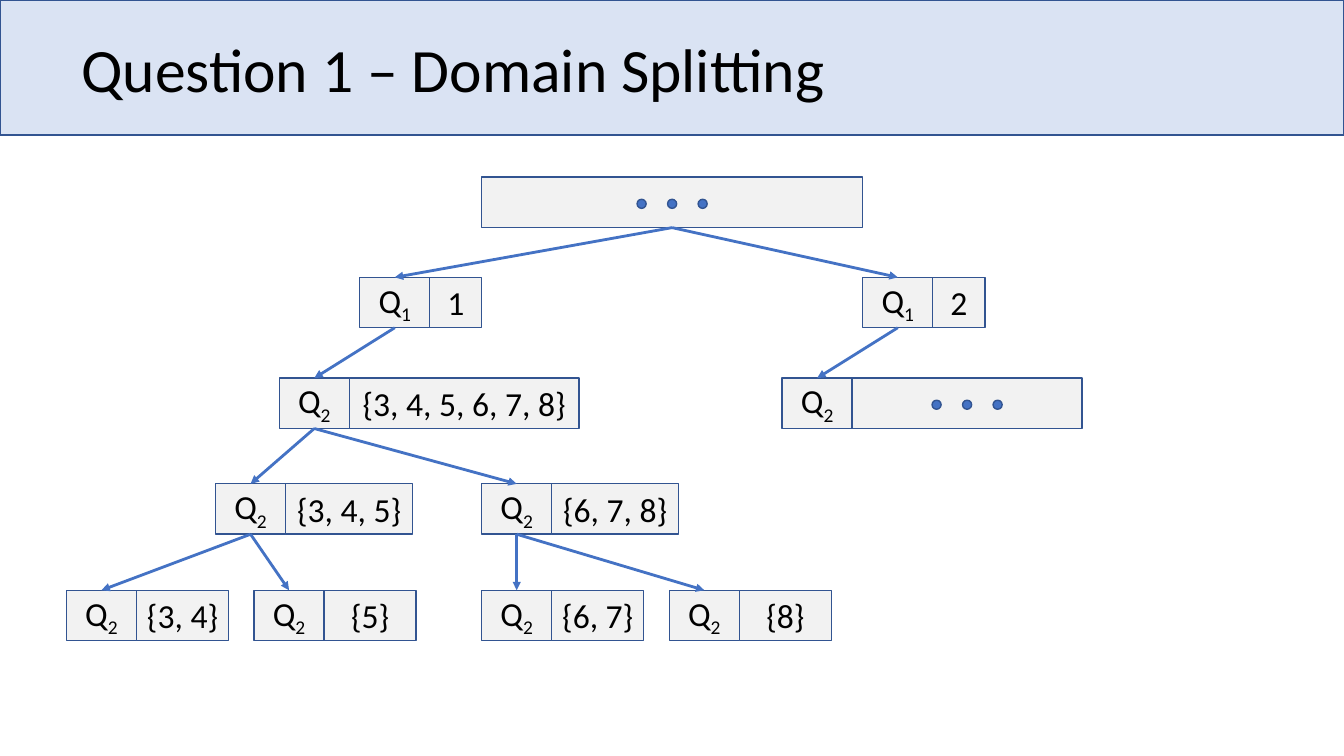
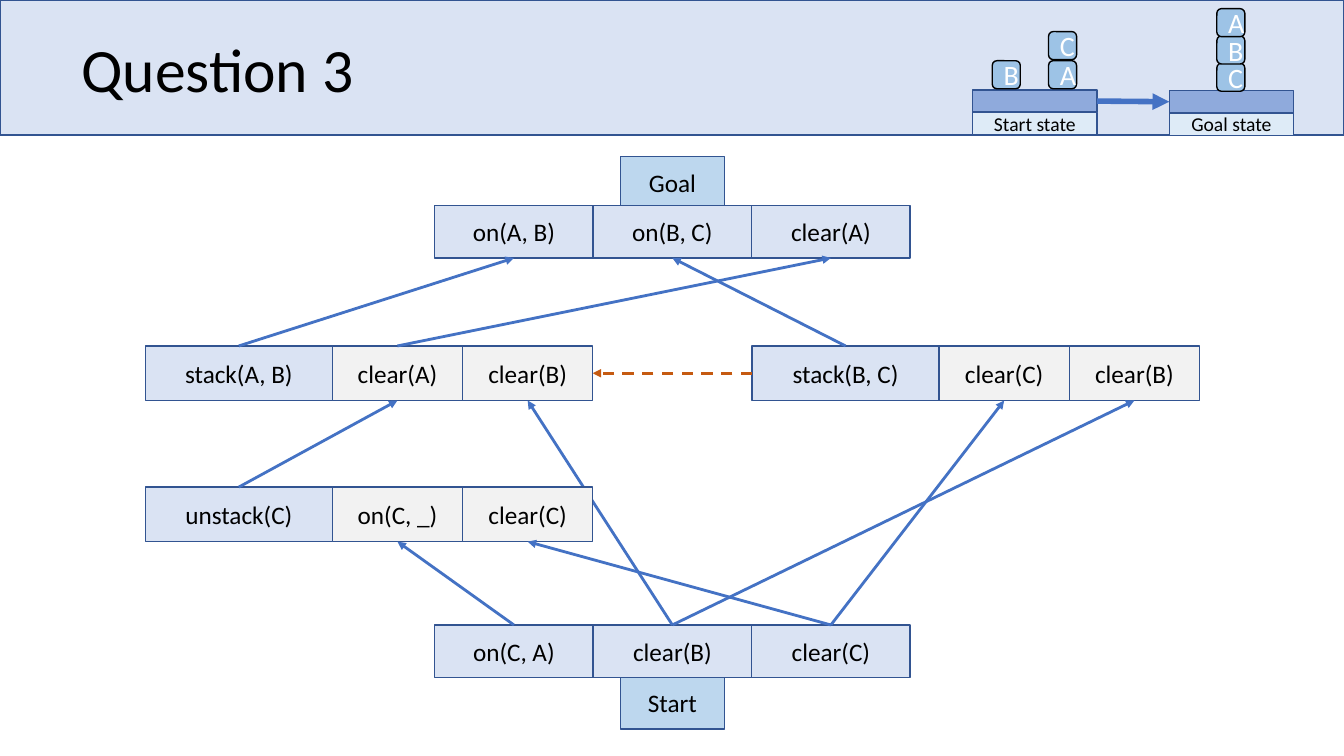
import pptx
import pptx.util
import pptx.dml.color
import pptx.enum.dml
import pptx.enum.shapes
import pptx.enum.text
import pptx.oxml.ns
import lxml.etree

Pt = pptx.util.Pt
SHAPES = pptx.enum.shapes.MSO_SHAPE
COLORS = {
    "band": "DAE3F3", "outline": "325491", "arrow": "4472C4", "order": "C55A11",
    "cell": "F2F2F2", "tag": "BDD7EE", "block": "9DC3E6", "ledge": "8FAADC",
    "caption": "DEEBF7", "black": "000000", "white": "FFFFFF",
}
FONT = "Calibri"
SLIDE_WIDTH, SLIDE_HEIGHT = 960, 540
TOP, LEFT, BOTTOM, RIGHT = range(4)

NODE_HEIGHT = 36
VARIABLE_WIDTH = 50
LEVEL_TOPS = [0, 71.5, 143.5, 219, 295]
TREE_NODES = [
    ("one", "root", 209.5, 1, "1", "1", 37.2),
    ("two", "root", 568.8, 1, "1", "2", 37.2),
    ("all", "one", 152, 2, "2", "{3, 4, 5, 6, 7, 8}", 164.2),
    ("rest", "two", 511.2, 2, "2", None, 164.2),
    ("low", "all", 106.5, 3, "2", "{3, 4, 5}", 90.7),
    ("high", "all", 296.6, 3, "2", "{6, 7, 8}", 90.7),
    ("low pair", "low", 0, 4, "2", "{3, 4}", 65.8),
    ("low single", "low", 134, 4, "2", "{5}", 65.8),
    ("high pair", "high", 296.6, 4, "2", "{6, 7}", 65.8),
    ("high single", "high", 430.6, 4, "2", "{8}", 65.8),
]


def rgb(name):
    return pptx.dml.color.RGBColor.from_string(COLORS[name])


def style_paragraph(para, size, color):
    para.font.name = FONT
    para.font.size = Pt(size)
    para.font.color.rgb = rgb(color)


def add_box(page, left, top, width, height, fill, kind=SHAPES.RECTANGLE, outline="outline"):
    box = page.shapes.add_shape(kind, Pt(left), Pt(top), Pt(width), Pt(height))
    box.shadow.inherit = False
    box.fill.solid()
    box.fill.fore_color.rgb = rgb(fill)
    box.line.color.rgb = rgb(outline)
    box.line.width = Pt(1)
    return box


def write_label(box, text, size, color="black", subscript=None):
    para = box.text_frame.paragraphs[0]
    para.alignment = pptx.enum.text.PP_ALIGN.CENTER
    style_paragraph(para, size, color)
    para.add_run().text = text
    if subscript:
        span = para.add_run()
        span.text = subscript
        span._r.get_or_add_rPr().set("baseline", "-25000")


def add_cell(page, left, top, width, height, fill, text, size, subscript=None):
    cell = add_box(page, left, top, width, height, fill)
    frame = cell.text_frame
    frame.margin_left = frame.margin_right = frame.margin_top = frame.margin_bottom = 0
    write_label(cell, text, size, subscript=subscript)
    return cell


def add_arrow(page, source, source_side, target, target_side, width=2, color="arrow", dashed=False):
    arrow = page.shapes.add_connector(pptx.enum.shapes.MSO_CONNECTOR.STRAIGHT, 0, 0, 0, 0)
    arrow.begin_connect(source, source_side)
    arrow.end_connect(target, target_side)
    arrow.line.color.rgb = rgb(color)
    arrow.line.width = Pt(width)
    if dashed:
        arrow.line.dash_style = pptx.enum.dml.MSO_LINE.DASH
    qn = pptx.oxml.ns.qn
    properties = arrow.element.spPr
    lxml.etree.SubElement(properties.find(qn("a:ln")), qn("a:tailEnd"), type="triangle")
    lxml.etree.SubElement(properties, qn("a:effectLst"))


def add_page(deck, title_text):
    page = deck.slides.add_slide(deck.slide_layouts[5])
    band = add_box(page, 0, 0, SLIDE_WIDTH, 96.5, "band")
    title = page.shapes.title
    title.element.addprevious(band.element)
    title.left, title.top, title.width, title.height = Pt(51), Pt(-0.7), Pt(828), Pt(104.4)
    title.text_frame.text = title_text
    title.text_frame.vertical_anchor = pptx.enum.text.MSO_ANCHOR.MIDDLE
    para = title.text_frame.paragraphs[0]
    para.alignment = pptx.enum.text.PP_ALIGN.LEFT
    para.line_spacing = 0.9
    style_paragraph(para, 44, "black")
    return page


def add_ellipsis(page, left, top, width, height):
    diameter, pitch = 6.5, 21.8
    first = left + (width - diameter) / 2 - pitch
    for index in range(3):
        add_box(page, first + index * pitch, top + (height - diameter) / 2 + 1,
                diameter, diameter, "arrow", SHAPES.OVAL)


def add_node(page, left, top, subscript, value, value_width):
    variable = add_cell(page, left, top, VARIABLE_WIDTH, NODE_HEIGHT, "cell", "Q", 24, subscript)
    value_left = left + VARIABLE_WIDTH
    if value:
        add_cell(page, value_left, top, value_width, NODE_HEIGHT, "cell", value, 24)
    else:
        add_box(page, value_left, top, value_width, NODE_HEIGHT, "cell")
        add_ellipsis(page, value_left, top, value_width, NODE_HEIGHT)
    return variable


def add_domain_tree(page, left, top):
    root_box = (left + 296.6, top, 272, NODE_HEIGHT)
    nodes = {"root": add_box(page, *root_box, "cell")}
    add_ellipsis(page, *root_box)
    for name, parent, offset, level, subscript, value, value_width in TREE_NODES:
        nodes[name] = add_node(page, left + offset, top + LEVEL_TOPS[level],
                               subscript, value, value_width)
        add_arrow(page, nodes[parent], BOTTOM, nodes[name], TOP)


def add_block_world(page, left, top, caption, stacks, pitch):
    width, height, block_size = 88.8, 16, 20
    label = add_cell(page, left, top + height, width, height, "caption", caption, 14)
    ledge = add_box(page, left, top, width, height, "ledge")
    for offset, letters in stacks:
        for level, letter in enumerate(letters, 1):
            block = add_box(page, left + offset, top - level * pitch, block_size, block_size,
                            "block", SHAPES.ROUNDED_RECTANGLE, "black")
            write_label(block, letter, 20, "white")
    return ledge


def add_state(page, left, top, tag, conditions, tag_above):
    width, height, tag_width = 113.2, 37.5, 74.2
    tag_left = left + (len(conditions) * width - tag_width) / 2
    tag_top = top - 35 if tag_above else top + 36.7
    add_cell(page, tag_left, tag_top, tag_width, height, "tag", tag, 18)
    return [add_cell(page, left + index * width, top, width, height, "band", condition, 18)
            for index, condition in enumerate(conditions)]


def add_action(page, left, top, action, preconditions):
    action_width, width, height = 133.6, 93, 39
    cells = [add_cell(page, left, top, action_width, height, "band", action, 18)]
    for index, condition in enumerate(preconditions):
        cells.append(add_cell(page, left + action_width + index * width, top,
                              width, height, "cell", condition, 18))
    return cells


def add_plan(page, left, top):
    center = left + 206.7
    goal = add_state(page, center, top, "Goal", ["on(A, B)", "on(B, C)", "clear(A)"], True)
    start = add_state(page, center, top + 299.6, "Start",
                      ["on(C, A)", "clear(B)", "clear(C)"], False)
    stack_ab = add_action(page, left, top + 100.3, "stack(A, B)", ["clear(A)", "clear(B)"])
    stack_bc = add_action(page, left + 433.4, top + 100.3, "stack(B, C)",
                          ["clear(C)", "clear(B)"])
    add_arrow(page, start[1], TOP, stack_ab[2], BOTTOM)
    unstack = add_action(page, left, top + 201.1, "unstack(C)", ["on(C, _)", "clear(C)"])
    for source, target in [
        (stack_ab[0], goal[0]), (stack_bc[0], goal[1]), (stack_ab[1], goal[2]),
        (unstack[0], stack_ab[1]), (start[0], unstack[1]), (start[2], unstack[2]),
        (start[1], stack_bc[2]), (start[2], stack_bc[1]),
    ]:
        add_arrow(page, source, TOP, target, BOTTOM)
    add_arrow(page, stack_bc[0], LEFT, stack_ab[2], RIGHT, color="order", dashed=True)


def main():
    deck = pptx.Presentation()
    deck.slide_width, deck.slide_height = Pt(SLIDE_WIDTH), Pt(SLIDE_HEIGHT)

    page = add_page(deck, "Question 1 – Domain Splitting")
    add_domain_tree(page, 47.5, 126.6)

    page = add_page(deck, "Question 3")
    start = add_block_world(page, 694.8, 64.2, "Start state", [(14, "B"), (54.2, "AC")], 20.8)
    goal = add_block_world(page, 835.2, 64.7, "Goal state", [(34, "CBA")], 19.5)
    add_arrow(page, start, RIGHT, goal, LEFT, width=4)
    add_plan(page, 103.8, 146.8)

    deck.save("out.pptx")


if __name__ == "__main__":
    main()
